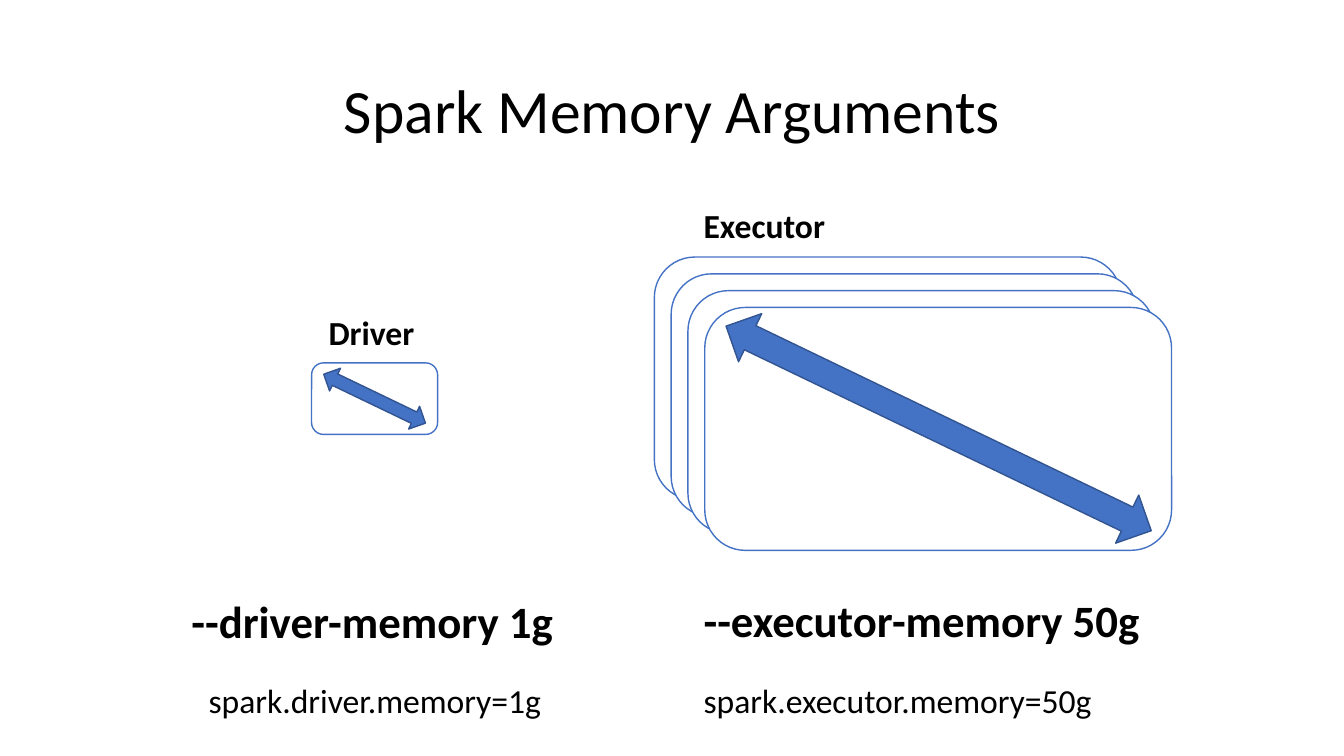
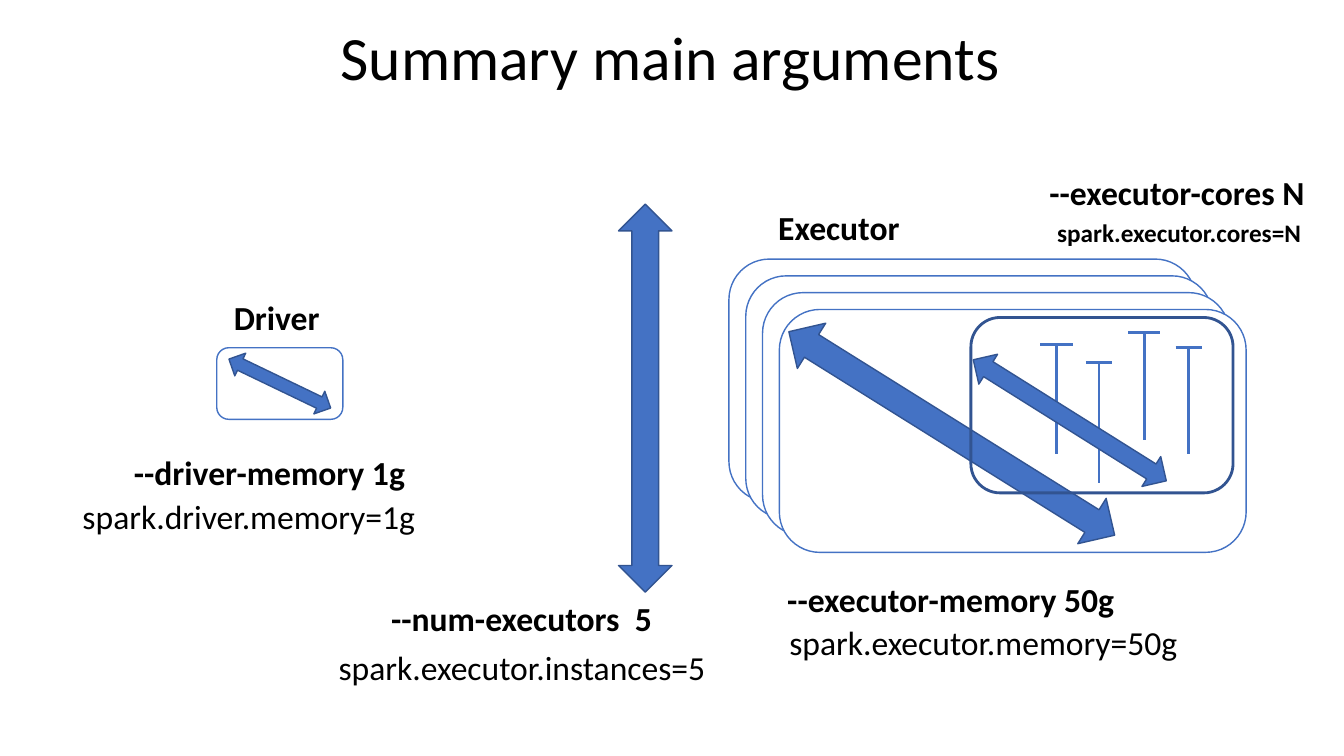
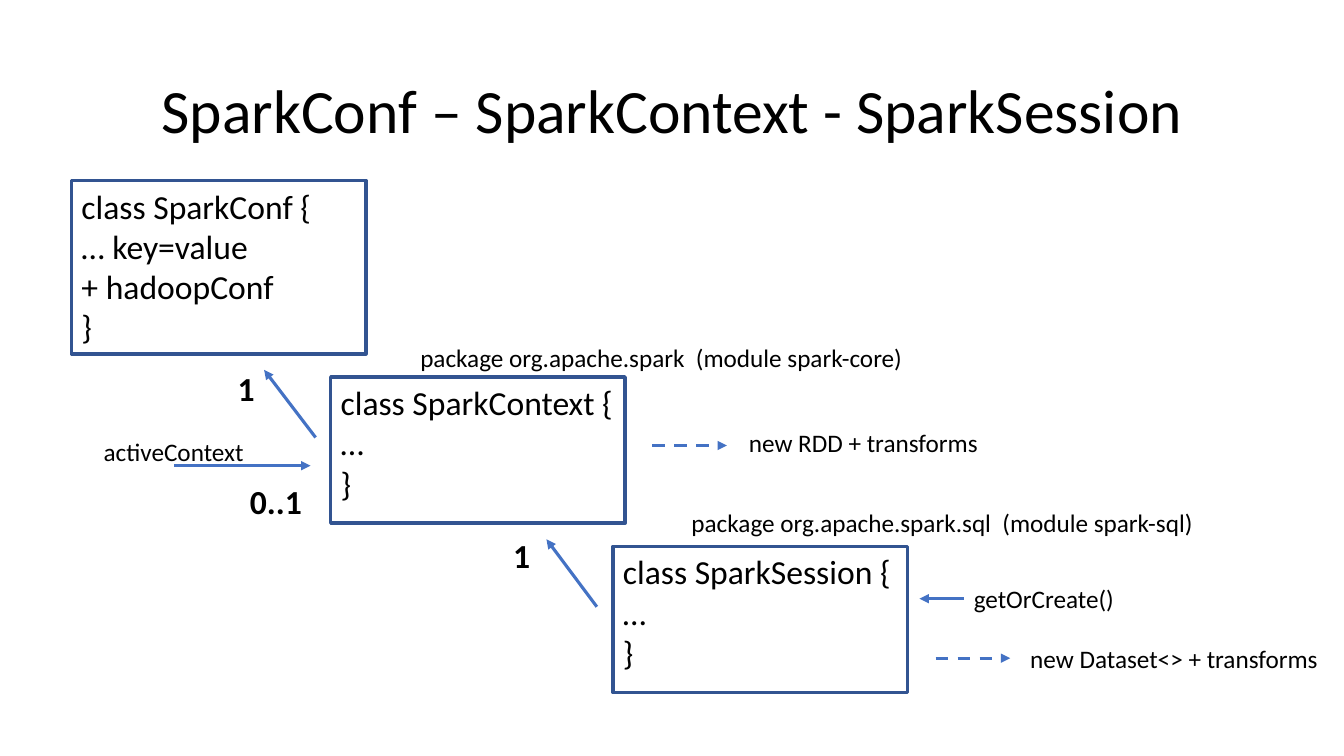
from lxml import etree
from pptx import Presentation
from pptx.dml.color import RGBColor
from pptx.enum.dml import MSO_LINE
from pptx.enum.shapes import MSO_CONNECTOR, MSO_SHAPE
from pptx.enum.text import MSO_ANCHOR, PP_ALIGN
from pptx.oxml.ns import qn
from pptx.util import Inches, Pt

RECT = MSO_SHAPE.RECTANGLE
ROUND = MSO_SHAPE.ROUNDED_RECTANGLE
DOUBLE_ARROW = MSO_SHAPE.UP_DOWN_ARROW
STRAIGHT = MSO_CONNECTOR.STRAIGHT
DASH = MSO_LINE.DASH
TOP, MIDDLE = MSO_ANCHOR.TOP, MSO_ANCHOR.MIDDLE
LEFT, CENTER = PP_ALIGN.LEFT, PP_ALIGN.CENTER


def rgb(value):
    return RGBColor.from_string(value)


class Deck:
    FONT = "Calibri"
    INK, BLUE, NAVY, WHITE = "000000", "4472C4", "325491", "FFFFFF"

    def __init__(self):
        self.prs = Presentation()
        self.prs.slide_width = Inches(13.33)
        self.prs.slide_height = Inches(7.5)

    def slide(self, title, x=0.92, y=0.4, h=1.45):
        self.s = self.prs.slides.add_slide(self.prs.slide_layouts[6])
        tf = self.text(title, x, y, 11.5, h, 44, align=CENTER)
        tf.vertical_anchor = MIDDLE
        tf.paragraphs[0].line_spacing = 0.9

    def fill_text(self, tf, text, size, bold=False, align=LEFT):
        tf.word_wrap = True
        tf.vertical_anchor = TOP
        tf.text = text
        for p in tf.paragraphs:
            p.alignment = align
            p.font.name = self.FONT
            p.font.size = Pt(size)
            p.font.bold = bold
            p.font.color.rgb = rgb(self.INK)
        return tf

    def text(self, text, x, y, w, h=0.5, size=24, bold=False, align=LEFT):
        box = self.s.shapes.add_textbox(Inches(x), Inches(y), Inches(w), Inches(h))
        return self.fill_text(box.text_frame, text, size, bold, align)

    def shape(self, kind, x, y, w, h, fill=None, line=BLUE, width=1):
        sp = self.s.shapes.add_shape(kind, Inches(x), Inches(y), Inches(w), Inches(h))
        sp.shadow.inherit = False
        if fill:
            sp.fill.solid()
            sp.fill.fore_color.rgb = rgb(fill)
        else:
            sp.fill.background()
        sp.line.color.rgb = rgb(line)
        sp.line.width = Pt(width)
        return sp

    def double_arrow(self, cx, cy, w, length, rotation=0):
        sp = self.shape(DOUBLE_ARROW, cx - w / 2, cy - length / 2, w, length,
                        self.BLUE, self.NAVY)
        sp.rotation = rotation

    def line(self, x1, y1, x2, y2, width=2.0, arrow=False, dashed=False):
        c = self.s.shapes.add_connector(STRAIGHT, Inches(x1), Inches(y1),
                                        Inches(x2), Inches(y2))
        c.line.color.rgb = rgb(self.BLUE)
        c.line.width = Pt(width)
        if dashed:
            c.line.dash_style = DASH
        spPr = c._element.spPr
        if arrow:
            etree.SubElement(spPr.find(qn("a:ln")), qn("a:tailEnd"), type="triangle")
        etree.SubElement(spPr, qn("a:effectLst"))

    def arrow(self, x1, y1, x2, y2, dashed=False):
        self.line(x1, y1, x2, y2, 2.25, True, dashed)

    def driver(self, x, y):
        w, h = 1.25, 0.71
        self.shape(ROUND, x, y, w, h)
        self.text("Driver", x + 0.07, y - 0.55, 2.19, bold=True)
        self.double_arrow(x + w / 2, y + h / 2, 0.25, 1.12, 295.7)

    def executors(self, x, y, count=4, step=0.5 / 3):
        for i in range(count):
            self.shape(ROUND, x + i * step, y + i * step, 4.63, 2.41, self.WHITE)
        self.text("Executor", x + 0.39, y - 0.57, 2.19, bold=True)

    def thread(self, x, top, bottom, half):
        self.line(x, top, x, bottom)
        self.line(x - half, top, x + half, top)

    def class_box(self, code, x, y, h=1.45):
        sp = self.shape(RECT, x, y, 2.92, h, line=self.NAVY, width=2.5)
        self.fill_text(sp.text_frame, code, 24)


def memory_slide(d):
    d.slide("Spark Memory Arguments")
    d.driver(3.09, 3.6)
    d.executors(6.49, 2.55)
    d.double_arrow(9.31, 4.25, 0.53, 4.68, 295.7)
    d.text("--driver-memory 1g", 1.8, 5.84, 3.9, 0.64, 32, True)
    d.text("--executor-memory 50g", 6.88, 5.83, 4.7, 0.64, 32, True)
    d.text("spark.driver.memory=1g", 1.97, 6.7, 3.6)
    d.text("spark.executor.memory=50g", 6.88, 6.7, 4.2)


def summary_slide(d):
    d.slide("Summary main arguments", 0.9, 0.12, 0.96)
    d.driver(2.15, 3.45)
    d.executors(7.23, 2.57)
    d.double_arrow(9.44, 4.3, 0.53, 3.81, 302)
    for x, top, bottom, half in ((10.48, 3.42, 4.5, 0.16), (10.9, 3.6, 4.79, 0.13),
                                 (11.35, 3.3, 4.37, 0.16), (11.79, 3.45, 4.5, 0.13)):
        d.thread(x, top, bottom, half)
    d.shape(ROUND, 9.63, 3.15, 2.6, 1.74, line=d.NAVY, width=2)
    d.double_arrow(10.61, 4.17, 0.35, 2.26, 122.1)
    d.double_arrow(6.4, 3.95, 0.53, 3.85)
    for argument, x, y, w in (("--driver-memory 1g", 1.23, 4.43, 3),
                              ("--executor-memory 50g", 7.71, 5.69, 3.6),
                              ("--num-executors  5", 3.78, 5.88, 3.68),
                              ("--executor-cores N", 10.31, 1.66, 2.9)):
        d.text(argument, x, y, w, bold=True)
    for setting, x, y in (("spark.driver.memory=1g", 0.72, 4.87),
                          ("spark.executor.memory=50g", 7.73, 6.12),
                          ("spark.executor.instances=5", 3.26, 6.37)):
        d.text(setting, x, y, 4.2)
    d.text("spark.executor.cores=N", 9.64, 2.11, 4.11, 0.4, 18, True, CENTER)


def classes_slide(d):
    d.slide("SparkConf – SparkContext - SparkSession")
    d.class_box("class SparkConf {\n… key=value\n+ hadoopConf\n}", 0.71, 1.79, 1.72)
    d.class_box("class SparkContext {\n…\n}", 3.28, 3.74)
    d.class_box("class SparkSession {\n…\n}", 6.08, 5.42)
    d.arrow(3.13, 4.34, 2.62, 3.67)
    d.arrow(5.92, 6.02, 5.42, 5.35)
    d.arrow(1.73, 4.62, 3.08, 4.62)
    d.arrow(9.56, 5.94, 9.12, 5.94)
    d.arrow(6.47, 4.42, 7.21, 4.42, dashed=True)
    d.arrow(9.28, 6.53, 10.02, 6.53, dashed=True)
    for count, x, y in (("1", 2.26, 3.6), ("0..1", 2.38, 4.72), ("1", 4.99, 5.26)):
        d.text(count, x, y, 0.9, bold=True)
    for label, x, y, w in (
            ("activeContext", 0.93, 4.28, 1.7),
            ("getOrCreate()", 9.56, 5.74, 1.7),
            ("package org.apache.spark  (module spark-core)", 4.07, 3.35, 5.3),
            ("package org.apache.spark.sql  (module spark-sql)", 6.76, 4.98, 5.5),
            ("new RDD + transforms", 7.33, 4.19, 2.6),
            ("new Dataset<> + transforms", 10.12, 6.33, 3.2)):
        d.text(label, x, y, w, 0.4, 18)


def main():
    d = Deck()
    memory_slide(d)
    summary_slide(d)
    classes_slide(d)
    d.prs.save("out.pptx")


if __name__ == "__main__":
    main()
